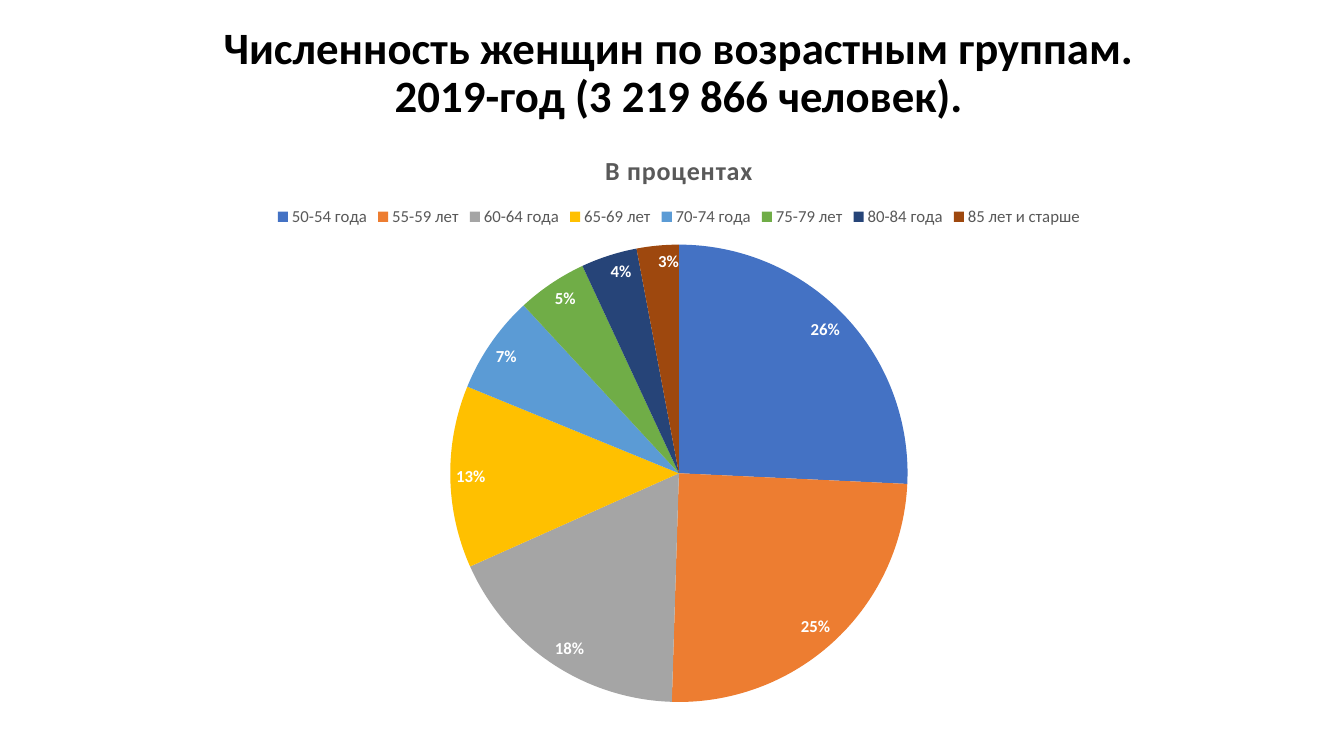
import pptx
import pptx.chart.data
import pptx.dml.color
import pptx.enum.chart
import pptx.enum.text
import pptx.util

Cm = pptx.util.Cm
FONT = "Calibri"
COLORS = {
    "title": "000000",
    "muted": "595959",
    "label": "FFFFFF",
}
# Age group: (percent of women, slice colour)
AGE_GROUPS = {
    "50-54 года": (26, "4472C4"),
    "55-59 лет": (25, "ED7D31"),
    "60-64 года": (18, "A5A5A5"),
    "65-69 лет": (13, "FFC000"),
    "70-74 года": (7, "5B9BD5"),
    "75-79 лет": (5, "70AD47"),
    "80-84 года": (4, "264478"),
    "85 лет и старше": (3, "9E480E"),
}


class SlideBuilder:
    def __init__(self, deck):
        title_only = deck.slide_layouts[5]
        self.slide = deck.slides.add_slide(title_only)

    def style_font(self, font, size, color, bold=False):
        font.name = FONT
        font.size = pptx.util.Pt(size)
        font.bold = bold
        font.color.rgb = pptx.dml.color.RGBColor.from_string(COLORS[color])

    def add_title(self, lines, left, top, width, height):
        title = self.slide.shapes.title
        title.left, title.top = Cm(left), Cm(top)
        title.width, title.height = Cm(width), Cm(height)
        frame = title.text_frame
        frame.word_wrap = True
        frame.auto_size = pptx.enum.text.MSO_AUTO_SIZE.NONE
        frame.vertical_anchor = pptx.enum.text.MSO_ANCHOR.MIDDLE
        para = frame.paragraphs[0]
        para.text = "\v".join(lines)
        para.alignment = pptx.enum.text.PP_ALIGN.CENTER
        para.line_spacing = 0.9
        para.space_before = pptx.util.Pt(0)
        self.style_font(para.font, 32, "title", bold=True)

    def add_pie(self, name, groups, left, top, width, height):
        """Add a pie of groups, a dict of category to (value, colour)."""
        data = pptx.chart.data.CategoryChartData(number_format="#,##0")
        data.categories = list(groups)
        data.add_series(name, [value for value, _ in groups.values()])
        chart = self.slide.shapes.add_chart(
            pptx.enum.chart.XL_CHART_TYPE.PIE,
            Cm(left), Cm(top), Cm(width), Cm(height), data,
        ).chart
        self.style_font(chart.font, 10, "title")

        chart.has_title = True
        frame = chart.chart_title.text_frame
        frame.text = name
        para = frame.paragraphs[0]
        self.style_font(para.font, 18.6, "muted", bold=True)
        para.font._element.set("spc", "50")
        chart.chart_title.include_in_layout = False

        chart.has_legend = True
        chart.legend.position = pptx.enum.chart.XL_LEGEND_POSITION.TOP
        chart.legend.include_in_layout = False
        self.style_font(chart.legend.font, 12, "muted")

        plot = chart.plots[0]
        plot.vary_by_categories = True
        series = plot.series[0]
        for index, (_, color) in enumerate(groups.values()):
            fill = series.points[index].format.fill
            fill.solid()
            fill.fore_color.rgb = pptx.dml.color.RGBColor.from_string(color)

        labels = series.data_labels
        labels.show_percentage = True
        labels.show_value = False
        labels.number_format = "0%"
        labels.number_format_is_linked = False
        labels.position = pptx.enum.chart.XL_LABEL_POSITION.INSIDE_END
        self.style_font(labels.font, 12, "label", bold=True)


def main():
    deck = pptx.Presentation()
    deck.slide_width, deck.slide_height = Cm(33.87), Cm(19.05)
    builder = SlideBuilder(deck)
    left, width = 1.4, 31.42
    title_top, title_height = 0.46, 2.82
    builder.add_title(
        ["Численность женщин по возрастным группам.",
         "2019-год (3 219 866 человек)."],
        left, title_top, width, title_height,
    )
    builder.add_pie("В процентах", AGE_GROUPS,
                    left, title_top + title_height, width, 14.76)
    deck.save("out.pptx")


if __name__ == "__main__":
    main()
